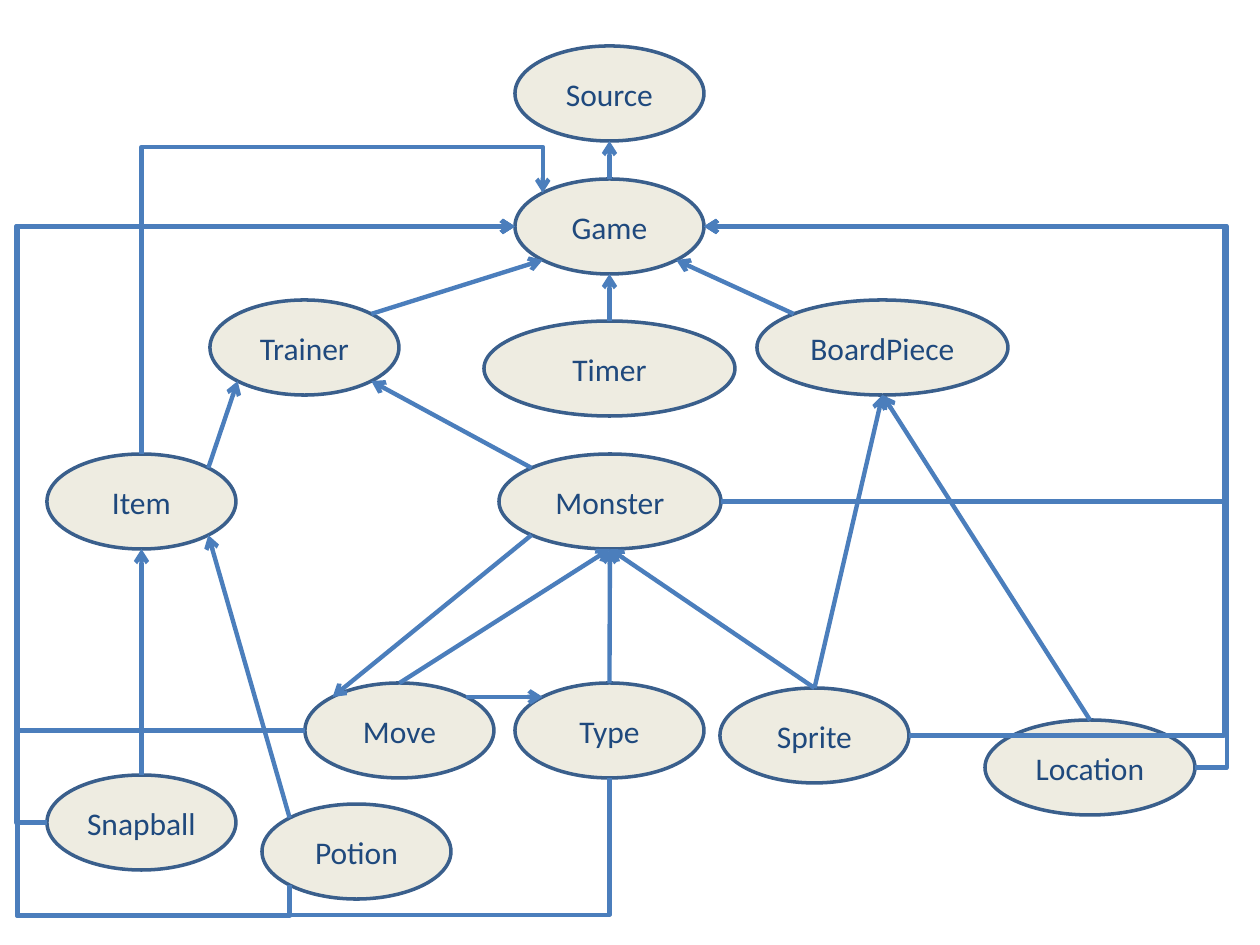
import lxml.etree
import pptx
import pptx.dml.color
import pptx.enum.shapes
import pptx.enum.text
import pptx.oxml.ns
import pptx.util

SCALE = pptx.util.Inches(1) / 126
NODE_HEIGHT = 95
DIAGONAL = 0.5 ** 0.5
SITES = {
    "top": (0, -1), "bottom": (0, 1), "left": (-1, 0), "right": (1, 0),
    "top left": (-DIAGONAL, -DIAGONAL), "top right": (DIAGONAL, -DIAGONAL),
    "bottom left": (-DIAGONAL, DIAGONAL), "bottom right": (DIAGONAL, DIAGONAL),
}
NODES = {
    "Source": (515, 46, 189),
    "Game": (515, 179, 189),
    "Trainer": (210, 300, 189),
    "Timer": (484, 321, 251),
    "BoardPiece": (757, 300, 251),
    "Item": (47, 454, 189),
    "Monster": (499, 454, 222),
    "Move": (305, 683, 189),
    "Type": (515, 683, 189),
    "Sprite": (720, 688, 189),
    "Location": (985, 720, 210),
    "Snapball": (47, 775, 189),
    "Potion": (262, 804, 189),
}
STRAIGHT_ARROWS = [
    ("Game", "top", "Source", "bottom"),
    ("Trainer", "top right", "Game", "bottom left"),
    ("Timer", "top", "Game", "bottom"),
    ("BoardPiece", "top left", "Game", "bottom right"),
    ("Item", "top right", "Trainer", "bottom left"),
    ("Monster", "top left", "Trainer", "bottom right"),
    ("Snapball", "top", "Item", "bottom"),
    ("Potion", "top left", "Item", "bottom right"),
    ("Move", "top", "Monster", "bottom"),
    ("Type", "top", "Monster", "bottom"),
    ("Sprite", "top", "Monster", "bottom"),
    ("Sprite", "top", "BoardPiece", "bottom"),
    ("Location", "top", "BoardPiece", "bottom"),
    ("Monster", "bottom left", "Move", "top left"),
    ("Move", "top right", "Type", "top left"),
]
SIDE_ARROWS = [
    ("Snapball", "left", "Game", "left", 16),
    ("Move", "left", "Game", "left", 17),
    ("Monster", "right", "Game", "right", 1225),
    ("Location", "right", "Game", "right", 1227),
    ("Sprite", "right", "Game", "right", 1224),
]
UPRIGHT_ARROWS = [
    ("Item", "top", "Game", "top left", 147, None),
    ("Potion", "bottom left", "Game", "left", 916, 17),
    ("Type", "bottom", "Game", "left", 915, 18),
]


def emu(pixels):
    return round(pixels * SCALE)


def color(value):
    return pptx.dml.color.RGBColor.from_string(value)


def write_text(shape, text, size=18, font="Calibri", fill="1F497D"):
    frame = shape.text_frame
    frame.word_wrap = True
    frame.vertical_anchor = pptx.enum.text.MSO_ANCHOR.MIDDLE
    paragraph = frame.paragraphs[0]
    paragraph.alignment = pptx.enum.text.PP_ALIGN.CENTER
    run = paragraph.add_run()
    run.text = text
    run.font.size = pptx.util.Pt(size)
    run.font.name = font
    run.font.color.rgb = color(fill)


def add_node(slide, name, left, top, width):
    shape = slide.shapes.add_shape(
        pptx.enum.shapes.MSO_SHAPE.OVAL,
        emu(left), emu(top), emu(width), emu(NODE_HEIGHT))
    shape.shadow.inherit = False
    shape.fill.solid()
    shape.fill.fore_color.rgb = color("EEECE1")
    shape.line.color.rgb = color("3A5F8C")
    shape.line.width = pptx.util.Pt(2)
    write_text(shape, name)


def site_point(name, site, origin):
    left, top, width = NODES[name]
    across, down = SITES[site]
    return (origin[0] + left + width / 2 * (1 + across),
            origin[1] + top + NODE_HEIGHT / 2 * (1 + down))


def add_arrow(slide, kind, begin, end):
    connector = slide.shapes.add_connector(
        kind, *(emu(value) for value in (*begin, *end)))
    connector.line.color.rgb = color("4B7EBC")
    connector.line.width = pptx.util.Pt(2.5)
    line = connector.line._get_or_add_ln()
    lxml.etree.SubElement(line, pptx.oxml.ns.qn("a:tailEnd"), type="arrow")
    properties = connector._element.spPr
    lxml.etree.SubElement(properties, pptx.oxml.ns.qn("a:effectLst"))
    return connector


def set_bends(connector, bends):
    geometry = connector._element.spPr.find(pptx.oxml.ns.qn("a:prstGeom"))
    geometry.set("prst", f"bentConnector{len(bends) + 2}")
    guides = geometry.find(pptx.oxml.ns.qn("a:avLst"))
    for number, bend in enumerate(bends, 1):
        lxml.etree.SubElement(
            guides, pptx.oxml.ns.qn("a:gd"),
            name=f"adj{number}", fmla=f"val {round(bend * 100000)}")


def add_side_arrow(slide, begin, end, lane):
    connector = add_arrow(
        slide, pptx.enum.shapes.MSO_CONNECTOR.ELBOW, begin, end)
    set_bends(connector, [(lane - begin[0]) / (end[0] - begin[0])])


def add_upright_arrow(slide, begin, end, level, lane):
    across, down = end[0] - begin[0], end[1] - begin[1]
    middle_x, middle_y = begin[0] + across / 2, begin[1] + down / 2
    connector = add_arrow(
        slide, pptx.enum.shapes.MSO_CONNECTOR.ELBOW,
        (middle_x - down / 2, middle_y + across / 2),
        (middle_x + down / 2, middle_y - across / 2))
    connector._element.spPr.find(pptx.oxml.ns.qn("a:xfrm")).set("rot", "5400000")
    bends = [(level - begin[1]) / down]
    if lane is not None:
        bends.append((lane - begin[0]) / across)
    set_bends(connector, bends)


def add_diagram(slide, left, top):
    origin = (left, top)
    for name, (node_left, node_top, width) in NODES.items():
        add_node(slide, name, left + node_left, top + node_top, width)
    for source, exit_site, target, entry_site in STRAIGHT_ARROWS:
        add_arrow(slide, pptx.enum.shapes.MSO_CONNECTOR.STRAIGHT,
                  site_point(source, exit_site, origin),
                  site_point(target, entry_site, origin))
    for source, exit_site, target, entry_site, lane in SIDE_ARROWS:
        add_side_arrow(slide, site_point(source, exit_site, origin),
                       site_point(target, entry_site, origin), left + lane)
    for source, exit_site, target, entry_site, level, lane in UPRIGHT_ARROWS:
        add_upright_arrow(slide, site_point(source, exit_site, origin),
                          site_point(target, entry_site, origin),
                          top + level, None if lane is None else left + lane)


def main():
    presentation = pptx.Presentation()
    presentation.slide_width = emu(1260)
    presentation.slide_height = emu(945)
    slide = presentation.slides.add_slide(presentation.slide_layouts[6])
    add_diagram(slide, 0, 0)
    presentation.save("out.pptx")


if __name__ == "__main__":
    main()
